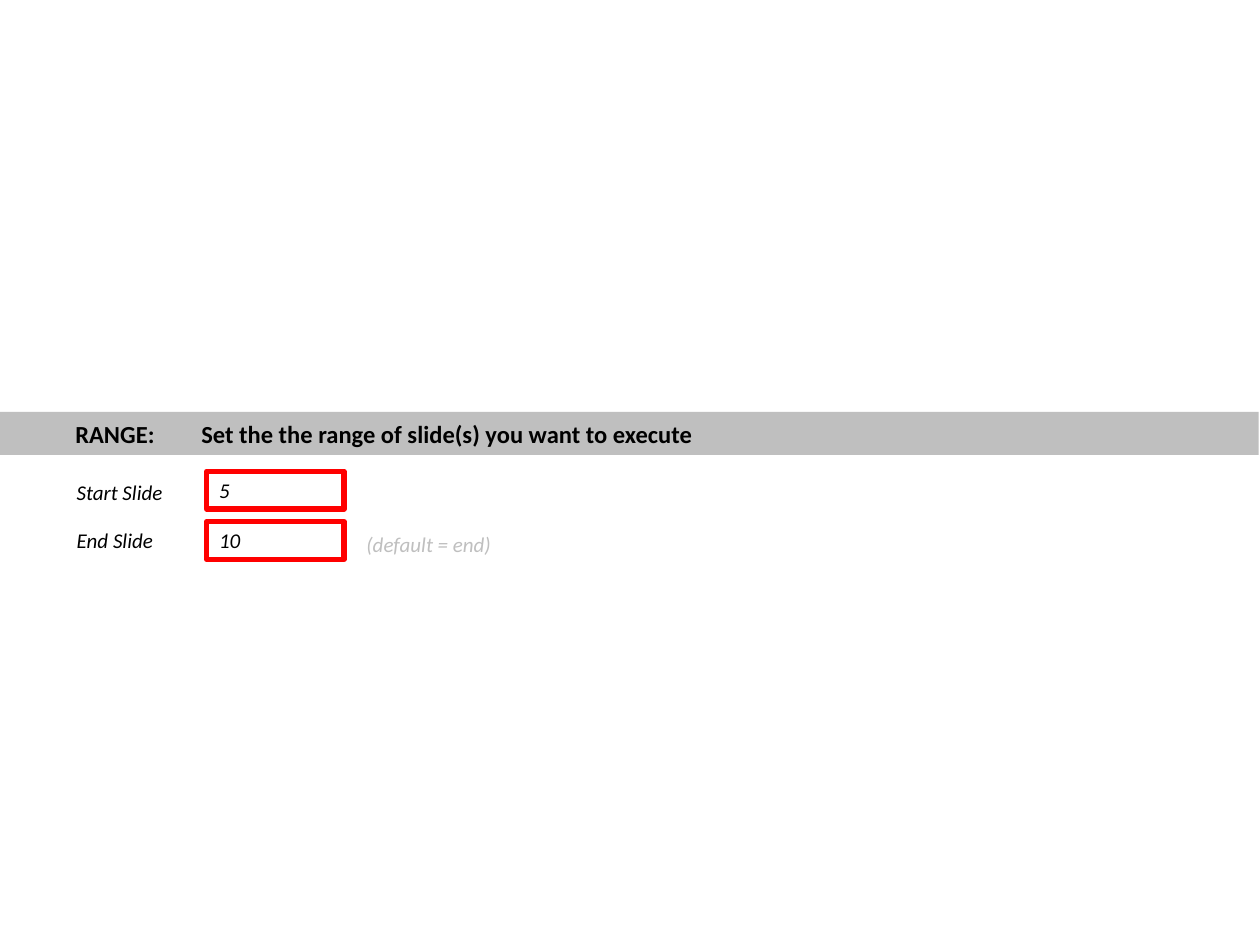
"""Build the slide for setting the range of slides to execute."""
from dataclasses import dataclass

from pptx import Presentation
from pptx.dml.color import RGBColor
from pptx.enum.shapes import MSO_SHAPE as Shape
from pptx.enum.text import MSO_ANCHOR as Anchor, PP_ALIGN as Align
from pptx.slide import Slide
from pptx.text.text import TextFrame
from pptx.util import Inches, Pt

COLORS = {"text": "000000", "band": "BFBFBF", "hint": "BFBFBF", "frame": "FF0000"}
HEADING = {"name": "Calibri", "size": Pt(14), "bold": True}
BODY = {"name": "Calibri", "size": Pt(12), "italic": True}
ROW_HEIGHT = 0.3


@dataclass
class Label:
    text: str
    left: float
    top: float
    width: float
    color: str = "text"


@dataclass
class Field:
    value: str
    top: float
    left: float = 1.64
    width: float = 1.09


LABELS = [
    Label("Start Slide", 0.51, 3.76, 0.93),
    Label("End Slide", 0.51, 4.14, 0.85),
    Label("(default = end)", 2.81, 4.17, 1.24, "hint"),
]
FIELDS = [Field("5", 3.74), Field("10", 4.14)]


def rgb(color: str) -> RGBColor:
    return RGBColor.from_string(COLORS[color])


def write(frame: TextFrame, text: str, style: dict, color: str = "text") -> None:
    frame.text = text
    paragraph = frame.paragraphs[0]
    paragraph.alignment = Align.LEFT
    font = paragraph.runs[0].font
    for attribute, value in style.items():
        setattr(font, attribute, value)
    font.color.rgb = rgb(color)


def draw_band(slide: Slide, text: str) -> None:
    band = slide.shapes.add_shape(
        Shape.RECTANGLE, Inches(-0.01), Inches(3.27), Inches(10), Inches(0.34))
    band.shadow.inherit = False
    band.fill.solid()
    band.fill.fore_color.rgb = rgb("band")
    band.line.fill.background()
    write(band.text_frame, text, HEADING)
    properties = band.text_frame.paragraphs[0]._p.get_or_add_pPr()
    properties.set("marL", str(Inches(0.51)))
    properties.set("indent", "0")


def draw_label(slide: Slide, label: Label) -> None:
    caption = slide.shapes.add_textbox(
        Inches(label.left), Inches(label.top), Inches(label.width), Inches(ROW_HEIGHT))
    caption.text_frame.word_wrap = False
    caption.text_frame.vertical_anchor = Anchor.TOP
    write(caption.text_frame, label.text, BODY, label.color)


def draw_field(slide: Slide, field: Field) -> None:
    entry = slide.shapes.add_shape(
        Shape.RECTANGLE, Inches(field.left), Inches(field.top),
        Inches(field.width), Inches(ROW_HEIGHT))
    entry.shadow.inherit = False
    entry.fill.background()
    entry.line.color.rgb = rgb("frame")
    entry.line.width = Pt(3)
    write(entry.text_frame, field.value, BODY)


def main() -> None:
    deck = Presentation()
    deck.slide_width, deck.slide_height = Inches(10), Inches(7.5)
    slide = deck.slides.add_slide(deck.slide_layouts[6])
    draw_band(slide, "RANGE: \tSet the the range of slide(s) you want to execute")
    for label in LABELS:
        draw_label(slide, label)
    for field in FIELDS:
        draw_field(slide, field)
    deck.save("out.pptx")


if __name__ == "__main__":
    main()
